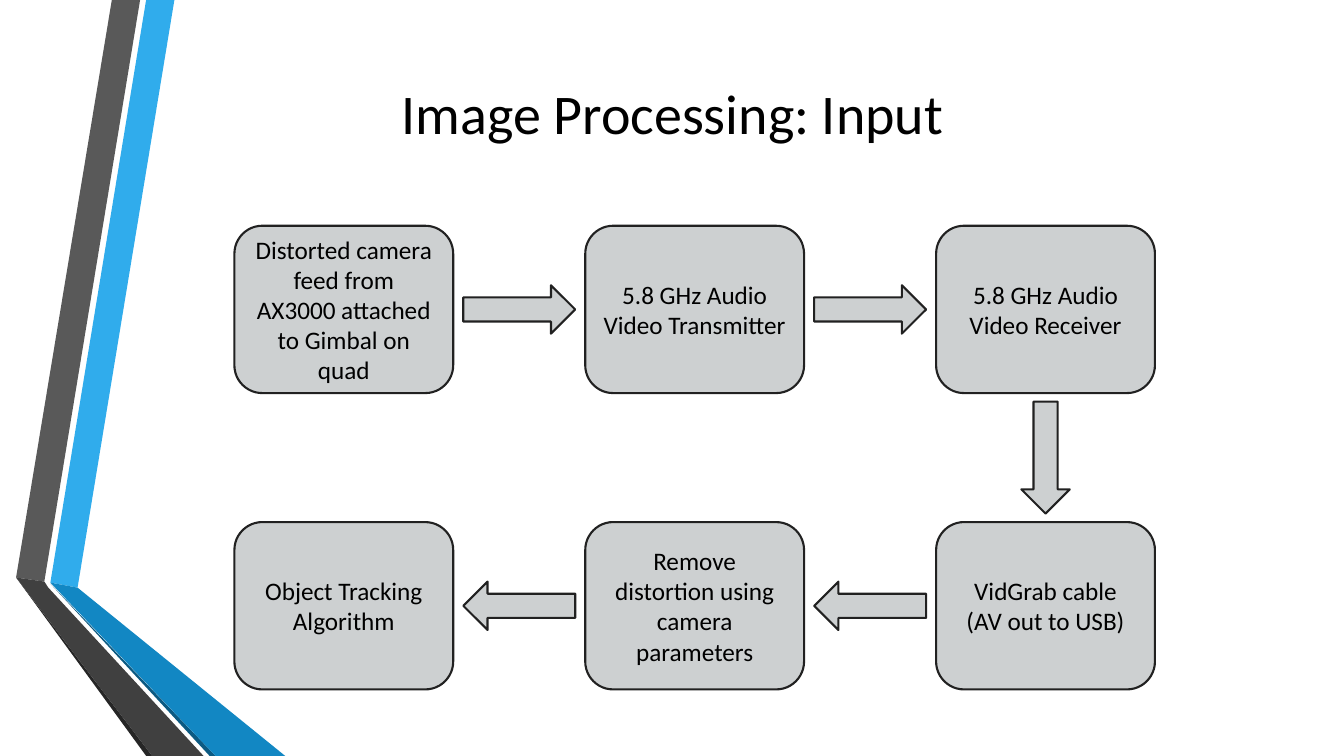
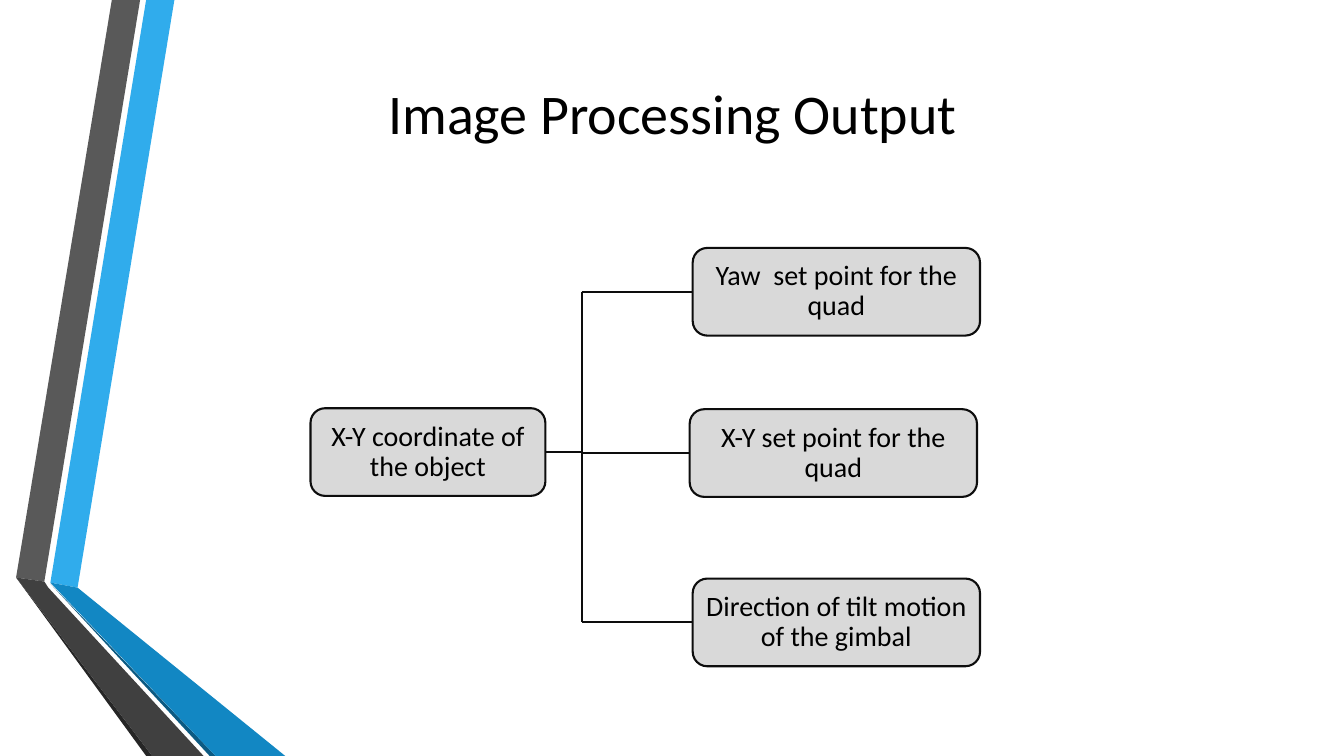
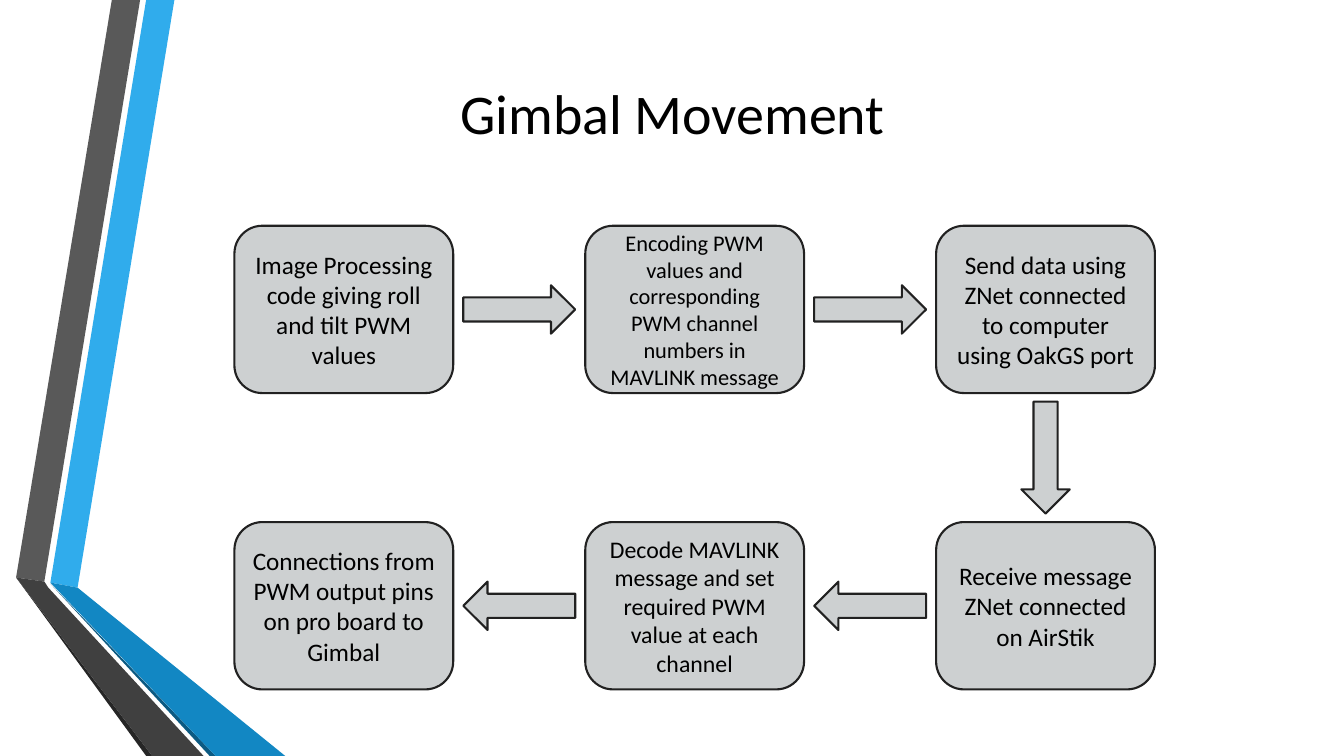
import math
from itertools import pairwise

from lxml import etree
from pptx import Presentation
from pptx.dml.color import RGBColor
from pptx.enum import shapes, text
from pptx.oxml.ns import qn
from pptx.util import Inches, Pt

BANDS = [
    ("30ACEC", [(0.5, 5.78), (0.77, 5.83), (1.73, 0), (1.45, 0)]),
    ("595959", [(1.39, 0), (1.11, 0), (0.16, 5.73), (0.44, 5.77)]),
    ("262626", [(0.16, 5.73), (1.45, 7.5), (1.51, 7.5)]),
    ("0C5A82", [(0.5, 5.79), (2.08, 7.5), (2.14, 7.5)]),
    ("1287C3", [(0.5, 5.78), (2.14, 7.5), (2.83, 7.5), (0.77, 5.83)]),
    ("404040", [(2.02, 7.5), (0.48, 5.83), (0.44, 5.77), (0.16, 5.73), (1.51, 7.5)]),
]

INPUT_STEPS = [
    ("Distorted camera feed from AX3000 attached to Gimbal on quad", 18),
    ("5.8 GHz Audio Video Transmitter", 18),
    ("5.8 GHz Audio Video Receiver", 18),
    ("VidGrab cable\n(AV out to USB)", 18),
    ("Remove distortion using camera parameters", 18),
    ("Object Tracking Algorithm", 18),
]
GIMBAL_STEPS = [
    ("Image Processing code giving roll and tilt PWM values", 18),
    ("Encoding PWM values and corresponding PWM channel numbers in MAVLINK message", 16),
    ("Send data using ZNet connected to computer using OakGS port", 18),
    ("Receive message ZNet connected on AirStik", 18),
    ("Decode MAVLINK message and set required PWM value at each channel", 17),
    ("Connections from PWM output pins on pro board to Gimbal", 18),
]
OUTPUTS = [
    ("Yaw  set point for the quad", 6.87, 2.46),
    ("X-Y set point for the quad", 6.84, 4.06),
    ("Direction of tilt motion of the gimbal", 6.87, 5.74),
]


def color(hex_string):
    return RGBColor.from_string(hex_string)


class Deck:
    FONT, INK = "Calibri", "000000"
    STEP_FILL, STEP_LINE = "CDD0D1", "212121"
    NODE_FILL, NODE_LINE = "D9D9D9", "0D0D0D"
    LINE_WIDTH = Pt(1.5)
    STEP_W, STEP_H = 2.17, 1.66
    ARROW_W, ARROW_H = 1.11, 0.48
    NODE_H = 0.87

    def __init__(self):
        self.prs = Presentation()
        self.prs.slide_width, self.prs.slide_height = Inches(13.33), Inches(7.5)
        self.slide = None

    def new_slide(self, title):
        """Add a slide with the folded bands and its title."""
        self.slide = self.prs.slides.add_slide(self.prs.slide_layouts[6])
        for fill, outline in BANDS:
            self.band(fill, outline)
        heading = self.slide.shapes.add_textbox(
            Inches(0.67), Inches(0.3), Inches(12), Inches(1.25))
        self.label(heading, title, 40, anchor=text.MSO_ANCHOR.BOTTOM)

    def band(self, fill, outline):
        first, *rest = [(Inches(x), Inches(y)) for x, y in outline]
        builder = self.slide.shapes.build_freeform(*first)
        builder.add_line_segments(rest, close=True)
        strip = builder.convert_to_shape()
        strip.shadow.inherit = False
        strip.fill.solid()
        strip.fill.fore_color.rgb = color(fill)
        strip.line.fill.background()

    def label(self, shape, words, size, inset=0.1, spacing=None,
              anchor=text.MSO_ANCHOR.MIDDLE):
        frame = shape.text_frame
        frame.word_wrap = True
        frame.vertical_anchor = anchor
        frame.margin_left = frame.margin_right = Inches(inset)
        frame.margin_top = frame.margin_bottom = Inches(inset)
        frame.text = words
        for paragraph in frame.paragraphs:
            paragraph.alignment = text.PP_ALIGN.CENTER
            paragraph.line_spacing = spacing
            paragraph.font.name = self.FONT
            paragraph.font.size = Pt(size)
            paragraph.font.color.rgb = color(self.INK)

    def outlined(self, kind, x, y, w, h, fill, line):
        shape = self.slide.shapes.add_shape(
            kind, Inches(x), Inches(y), Inches(w), Inches(h))
        shape.shadow.inherit = False
        shape.fill.solid()
        shape.fill.fore_color.rgb = color(fill)
        shape.line.color.rgb = color(line)
        shape.line.width = self.LINE_WIDTH
        return shape

    def step(self, center, words, size):
        x, y = center
        box = self.outlined(
            shapes.MSO_SHAPE.ROUNDED_RECTANGLE, x - self.STEP_W / 2, y - self.STEP_H / 2,
            self.STEP_W, self.STEP_H, self.STEP_FILL, self.STEP_LINE)
        self.label(box, words, size)

    def arrow(self, start, end):
        """Put a block arrow halfway between two step centers."""
        (x1, y1), (x2, y2) = start, end
        block = self.outlined(
            shapes.MSO_SHAPE.RIGHT_ARROW,
            (x1 + x2 - self.ARROW_W) / 2, (y1 + y2 - self.ARROW_H) / 2,
            self.ARROW_W, self.ARROW_H, self.STEP_FILL, self.STEP_LINE)
        block.rotation = math.degrees(math.atan2(y2 - y1, x2 - x1))

    def flow(self, steps):
        """Lay six steps right along the top row and back along the bottom."""
        columns = [3.41 + 3.48 * i for i in range(3)]
        centers = [(x, 3.07) for x in columns] + [(x, 6.01) for x in reversed(columns)]
        for center, (words, size) in zip(centers, steps):
            self.step(center, words, size)
        for start, end in pairwise(centers):
            self.arrow(start, end)

    def node(self, words, x, y, w):
        box = self.outlined(shapes.MSO_SHAPE.ROUNDED_RECTANGLE, x, y, w, self.NODE_H,
                            self.NODE_FILL, self.NODE_LINE)
        self.label(box, words, 20, inset=0.06, spacing=0.9)
        return box

    def line(self, x1, y1, x2, y2):
        link = self.slide.shapes.add_connector(
            shapes.MSO_CONNECTOR.STRAIGHT, Inches(x1), Inches(y1), Inches(x2), Inches(y2))
        link.line.color.rgb = color(self.NODE_LINE)
        link.line.width = self.LINE_WIDTH
        etree.SubElement(link._element.spPr, qn("a:effectLst"))
        return link

    def tree(self, source, outputs):
        """Join one node on the left to several on the right by a shared trunk."""
        root_x, root_y, root_w, trunk_x = 3.08, 4.05, 2.33, 5.77
        middle = self.NODE_H / 2
        root = self.node(source, root_x, root_y, root_w)
        stem = self.line(root_x + root_w, root_y + middle, trunk_x, root_y + middle)
        stem.begin_connect(root, 3)
        for words, x, y in outputs:
            output = self.node(words, x, y, 2.85)
            self.line(trunk_x, y + middle, x, y + middle).end_connect(output, 1)
        self.line(trunk_x, outputs[0][2] + middle, trunk_x, outputs[-1][2] + middle)


def main():
    deck = Deck()
    deck.new_slide("Image Processing: Input")
    deck.flow(INPUT_STEPS)
    deck.new_slide("Image Processing Output")
    deck.tree("X-Y coordinate of the object", OUTPUTS)
    deck.new_slide("Gimbal Movement")
    deck.flow(GIMBAL_STEPS)
    deck.prs.save("out.pptx")


if __name__ == "__main__":
    main()
